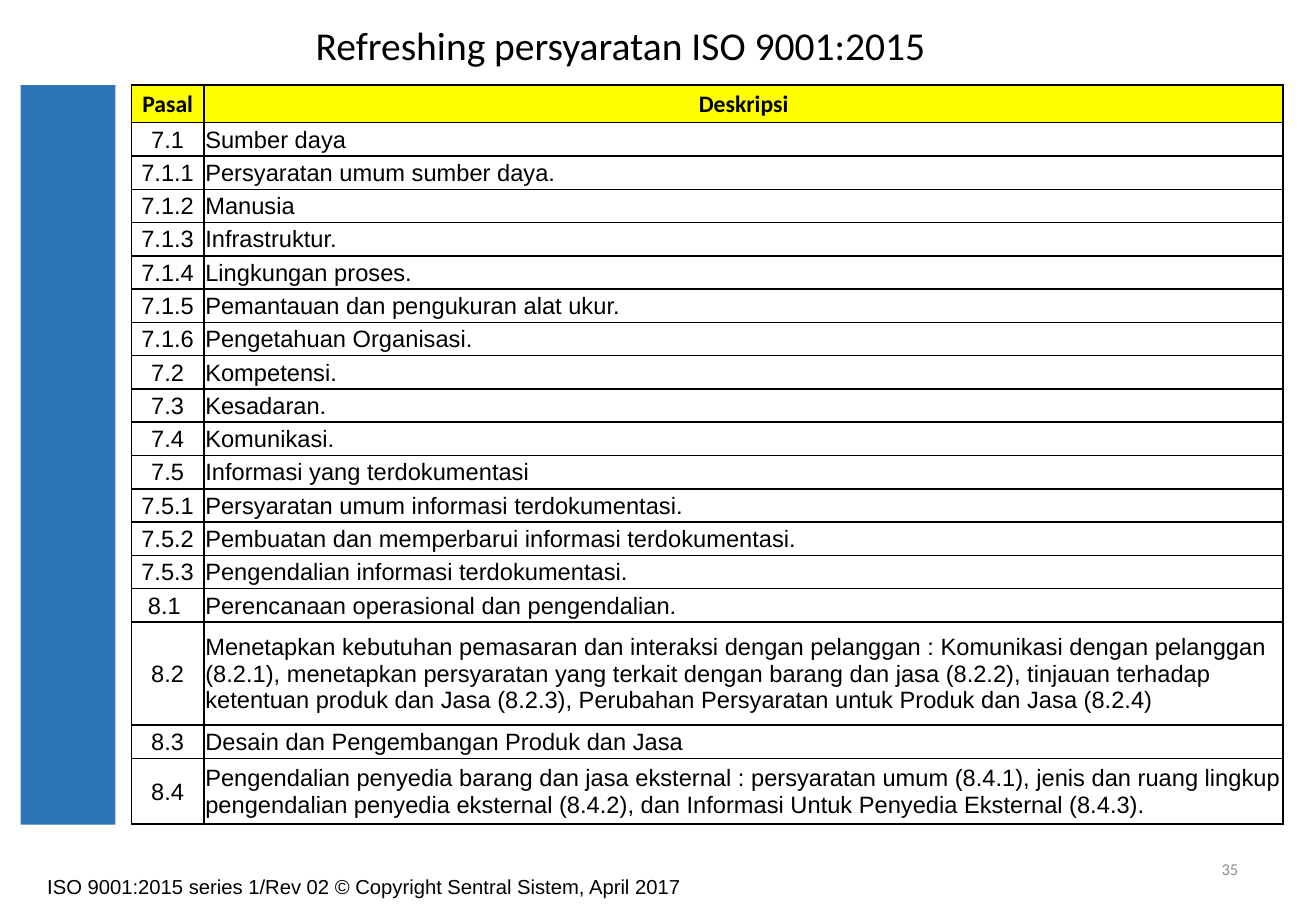
import pptx
import pptx.dml.color
import pptx.enum.shapes
import pptx.enum.text
import pptx.oxml
import pptx.oxml.ns
import pptx.util
from pptx.util import Inches

ALIGN = pptx.enum.text.PP_ALIGN
MIDDLE = pptx.enum.text.MSO_ANCHOR.MIDDLE

CLAUSES = [
    ("7.1", "Sumber daya"),
    ("7.1.1", "Persyaratan umum sumber daya."),
    ("7.1.2", "Manusia"),
    ("7.1.3", "Infrastruktur."),
    ("7.1.4", "Lingkungan proses."),
    ("7.1.5", "Pemantauan dan pengukuran alat ukur."),
    ("7.1.6", "Pengetahuan Organisasi."),
    ("7.2", "Kompetensi."),
    ("7.3", "Kesadaran."),
    ("7.4", "Komunikasi."),
    ("7.5", "Informasi yang terdokumentasi"),
    ("7.5.1", "Persyaratan umum informasi terdokumentasi."),
    ("7.5.2", "Pembuatan dan memperbarui informasi terdokumentasi."),
    ("7.5.3", "Pengendalian informasi terdokumentasi."),
    ("8.1 ", "Perencanaan operasional dan pengendalian."),
    ("8.2", "Menetapkan kebutuhan pemasaran dan interaksi dengan pelanggan : "
            "Komunikasi dengan pelanggan (8.2.1), menetapkan persyaratan yang terkait "
            "dengan barang dan jasa (8.2.2), tinjauan terhadap ketentuan produk dan Jasa "
            "(8.2.3), Perubahan Persyaratan untuk Produk dan Jasa (8.2.4)"),
    ("8.3", "Desain dan Pengembangan Produk dan Jasa"),
    ("8.4", "Pengendalian penyedia barang dan jasa eksternal : persyaratan umum (8.4.1), "
            "jenis dan ruang lingkup pengendalian penyedia eksternal (8.4.2), dan "
            "Informasi Untuk Penyedia Eksternal (8.4.3)."),
]
SPECIAL_HEIGHTS = {"Pasal": 0.31, "8.2": 0.85, "8.4": 0.54}


def rgb(value):
    """Turn a hex string into a colour."""
    return pptx.dml.color.RGBColor.from_string(value)


def write(frame, text, size=14, font="Arial", color="000000", bold=False,
          align=ALIGN.LEFT, spacing=None):
    """Put one formatted paragraph into a text frame."""
    paragraph = frame.paragraphs[0]
    paragraph.alignment = align
    if spacing:
        paragraph.line_spacing = spacing
    run = paragraph.add_run()
    run.text = text
    run.font.size = pptx.util.Pt(size)
    run.font.name = font
    run.font.bold = bold
    run.font.color.rgb = rgb(color)


def add_label(slide, box, text, anchor=MIDDLE, **style):
    """Place a wrapped line of text in the given box."""
    frame = slide.shapes.add_textbox(*map(Inches, box)).text_frame
    frame.word_wrap = True
    frame.vertical_anchor = anchor
    write(frame, text, **style)


def add_side_band(slide, box):
    """Draw the blue band beside the table."""
    band = slide.shapes.add_shape(
        pptx.enum.shapes.MSO_SHAPE.RECTANGLE, *map(Inches, box))
    band.shadow.inherit = False
    band.fill.solid()
    band.fill.fore_color.rgb = rgb("2E75B6")
    band.line.fill.background()


def outline(cell):
    """Give a cell thin black borders on all sides."""
    properties = cell._tc.get_or_add_tcPr()
    for position, side in enumerate(("lnL", "lnR", "lnT", "lnB")):
        properties.insert(position, pptx.oxml.parse_xml(
            f'<a:{side} {pptx.oxml.ns.nsdecls("a")} w="12700"><a:solidFill>'
            f'<a:srgbClr val="000000"/></a:solidFill></a:{side}>'))


def fill_cell(cell, text, header, centred):
    """Write and format one table cell."""
    cell.margin_left = cell.margin_right = cell.margin_top = Inches(0.01)
    cell.margin_bottom = 0
    cell.vertical_anchor = MIDDLE
    if header:
        cell.fill.solid()
        cell.fill.fore_color.rgb = rgb("FFFF00")
    else:
        cell.fill.background()
    outline(cell)
    write(cell.text_frame, text, font="Calibri" if header else "Arial",
          bold=header, align=ALIGN.CENTER if centred else ALIGN.LEFT)


def add_clause_table(slide, box):
    """Build the table of clauses, sharing the spare height among plain rows."""
    rows = [("Pasal", "Deskripsi")] + CLAUSES
    width, height = box[2:]
    plain_height = ((height - sum(SPECIAL_HEIGHTS.values()))
                    / (len(rows) - len(SPECIAL_HEIGHTS)))
    table = slide.shapes.add_table(len(rows), 2, *map(Inches, box)).table
    table.horz_banding = False
    clause_width = 0.6
    table.columns[0].width = Inches(clause_width)
    table.columns[1].width = Inches(width - clause_width)
    for index, row in enumerate(rows):
        table.rows[index].height = Inches(SPECIAL_HEIGHTS.get(row[0], plain_height))
        for column, text in enumerate(row):
            header = index == 0
            fill_cell(table.cell(index, column), text, header, header or column == 0)


def main():
    """Build and save the slide."""
    deck = pptx.Presentation()
    deck.slide_width, deck.slide_height = Inches(10.83), Inches(7.5)
    slide = deck.slides.add_slide(deck.slide_layouts[6])
    add_label(slide, (0.29, 7.15, 5.99, 0.4),
              "ISO 9001:2015 series 1/Rev 02 © Copyright Sentral Sistem, April 2017",
              anchor=pptx.enum.text.MSO_ANCHOR.TOP, size=12)
    add_label(slide, (2.5, 0.17, 5.85, 0.44), "Refreshing persyaratan ISO 9001:2015",
              size=23.4, font="Calibri", spacing=0.9)
    add_label(slide, (7.76, 6.95, 2.53, 0.4), "35", size=9.8, font="Calibri",
              color="8C8C8C", align=ALIGN.RIGHT)
    add_side_band(slide, (0.17, 0.7, 0.78, 6.09))
    add_clause_table(slide, (1.08, 0.7, 9.48, 6.09))
    deck.save("out.pptx")


if __name__ == "__main__":
    main()
